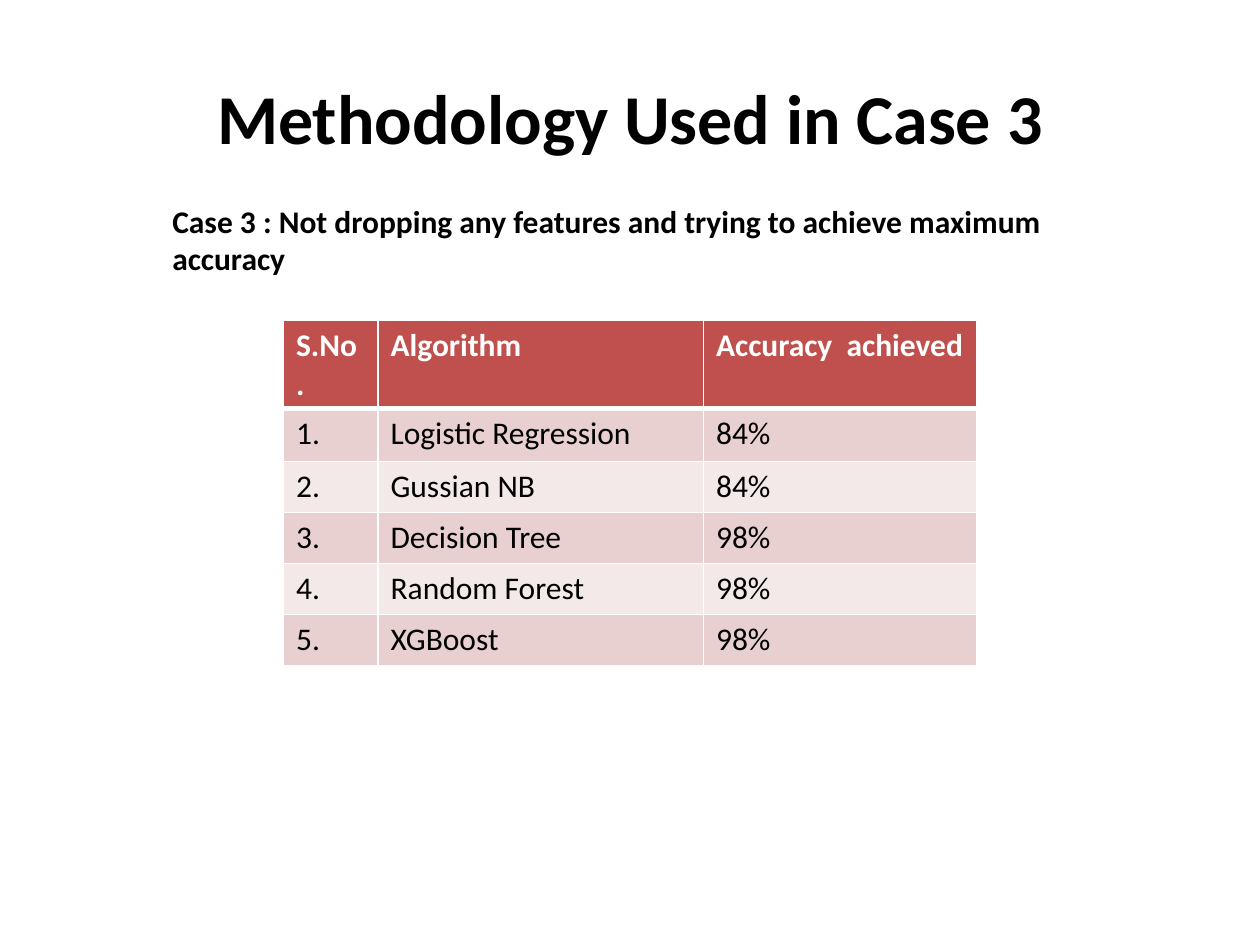
from pptx import Presentation
from pptx.dml.color import RGBColor
from pptx.enum.text import MSO_ANCHOR, PP_ALIGN
from pptx.oxml.ns import qn
from pptx.util import Pt
from lxml.etree import SubElement

COLORS = {"text": "000000", "white": "FFFFFF", "head": "C0504D",
          "odd": "E8D0D0", "even": "F4E9E9"}

ROWS = [
    ("S.No.", "Algorithm", "Accuracy  achieved"),
    ("1.", "Logistic Regression", "84%"),
    ("2.", "Gussian NB", "84%"),
    ("3.", "Decision Tree", "98%"),
    ("4.", "Random Forest", "98%"),
    ("5.", "XGBoost", "98%"),
]


class Deck:
    def __init__(self, slide, font="Calibri"):
        self.slide = slide
        self.font = font

    def label(self, frame, text, size, color="text", bold=False, align=PP_ALIGN.LEFT):
        para = frame.paragraphs[0]
        para.alignment = align
        run = para.add_run()
        run.text = text
        style = {"name": self.font, "size": Pt(size), "bold": bold}
        for key, value in style.items():
            setattr(run.font, key, value)
        run.font.color.rgb = RGBColor.from_string(COLORS[color])

    def text(self, box, text, size, anchor=MSO_ANCHOR.TOP, **style):
        frame = self.slide.shapes.add_textbox(*map(Pt, box)).text_frame
        frame.word_wrap = True
        frame.vertical_anchor = anchor
        self.label(frame, text, size, **style)

    def edge(self, cell, side, width):
        props = cell._tc.get_or_add_tcPr()
        line = SubElement(props, qn(f"a:ln{side}"), w=str(Pt(width)))
        fill = SubElement(line, qn("a:solidFill"))
        SubElement(fill, qn("a:srgbClr"), val=COLORS["white"])

    def table(self, left, top, widths, heights, rows, size):
        box = (left, top, sum(widths), sum(heights))
        grid = self.slide.shapes.add_table(len(rows), len(widths), *map(Pt, box)).table
        for col, width in zip(grid.columns, widths):
            col.width = Pt(width)
        for r, (row, height) in enumerate(zip(rows, heights)):
            grid.rows[r].height = Pt(height)
            head = r == 0
            shade = "head" if head else "odd" if r % 2 else "even"
            # A thick rule parts the header from the body
            edges = {"L": 1, "R": 1, "T": 3 if r == 1 else 1, "B": 3 if head else 1}
            for c, text in enumerate(row):
                cell = grid.cell(r, c)
                for side, width in edges.items():
                    self.edge(cell, side, width)
                cell.fill.solid()
                cell.fill.fore_color.rgb = RGBColor.from_string(COLORS[shade])
                self.label(cell.text_frame, text, size,
                           color="white" if head else "text", bold=head)


def main():
    prs = Presentation()
    prs.slide_width, prs.slide_height = Pt(720), Pt(540)
    deck = Deck(prs.slides.add_slide(prs.slide_layouts[6]))

    # Title
    deck.text((36, 21.6, 648, 90), "Methodology Used in Case 3", 40,
              anchor=MSO_ANCHOR.MIDDLE, bold=True, align=PP_ALIGN.CENTER)

    # Accuracy table
    deck.table(162, 183, (54, 186, 156), (29.2, 30.2) + (29.2,) * 4, ROWS, 18)

    # Case summary
    deck.text((91.4, 111.6, 537, 51), "Case 3 : Not dropping any features and "
              "trying to achieve maximum accuracy", 18, bold=True)

    prs.save("out.pptx")


if __name__ == "__main__":
    main()
